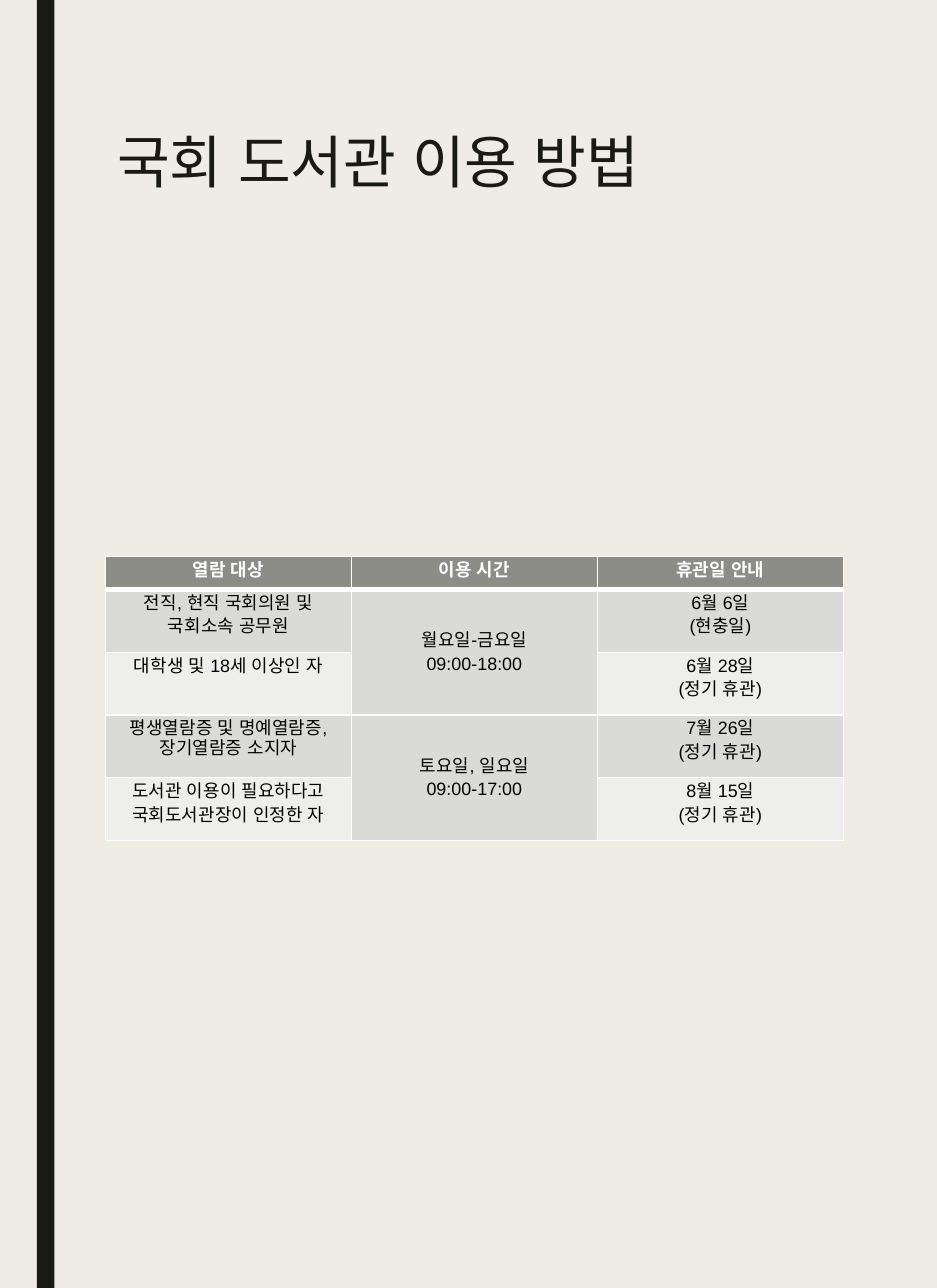
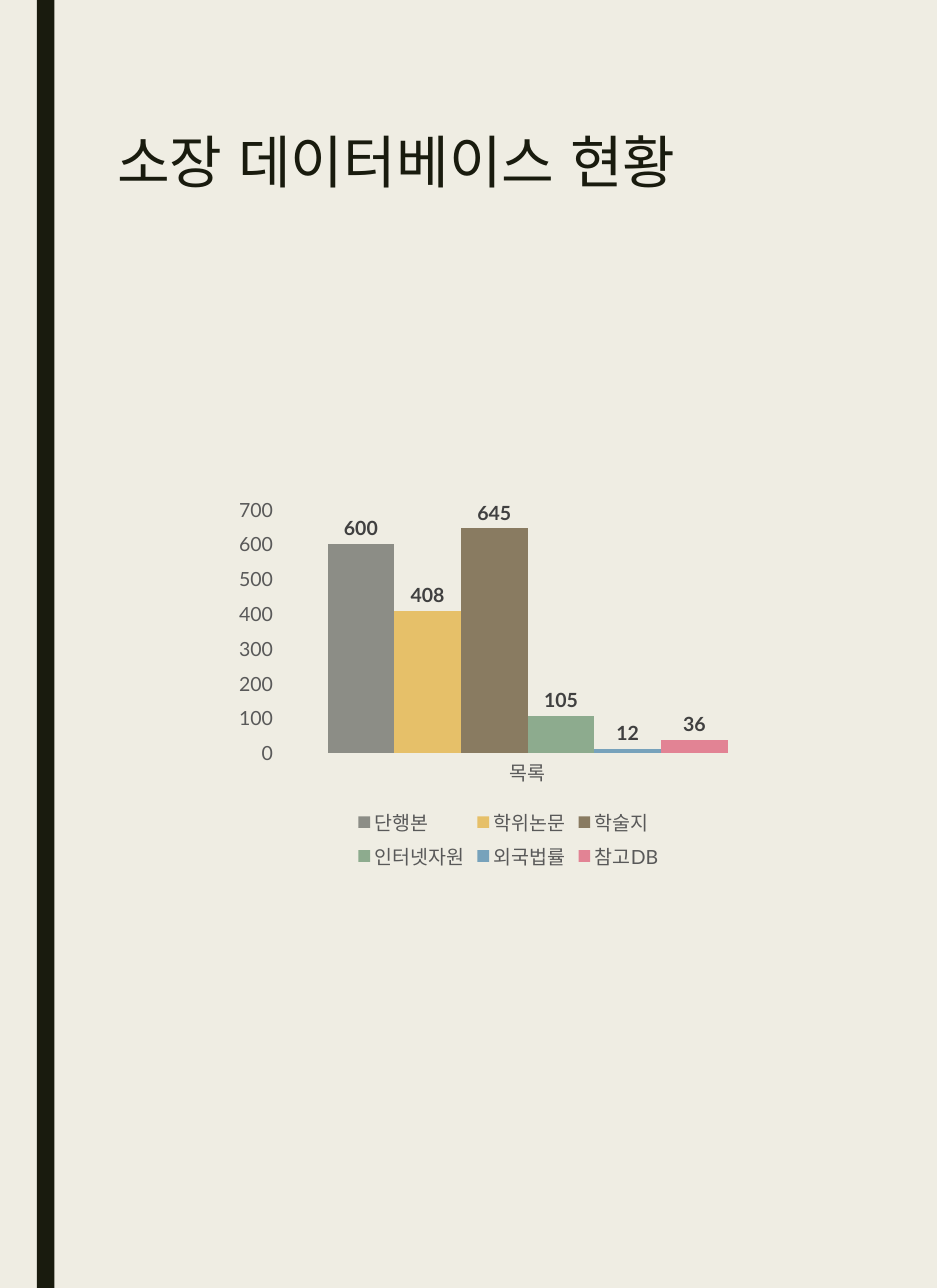
from lxml.etree import SubElement
from pptx import Presentation
from pptx.chart.data import CategoryChartData
from pptx.dml.color import RGBColor
from pptx.enum.chart import XL_CHART_TYPE, XL_LABEL_POSITION, XL_LEGEND_POSITION, XL_TICK_MARK
from pptx.enum.shapes import MSO_SHAPE
from pptx.enum.text import MSO_ANCHOR, PP_ALIGN
from pptx.oxml.ns import qn
from pptx.util import Cm, Pt

CREAM = RGBColor(0xEF, 0xED, 0xE3)
INK = RGBColor(0x19, 0x1B, 0x0E)
WHITE = RGBColor(0xFF, 0xFF, 0xFF)
BLACK = RGBColor(0x00, 0x00, 0x00)
GRAY = RGBColor(0x8C, 0x8D, 0x86)
DARK_ROW = RGBColor(0xDA, 0xDB, 0xD9)
LIGHT_ROW = RGBColor(0xEE, 0xEE, 0xED)
AXIS_TEXT = RGBColor(0x59, 0x59, 0x59)
LABEL_TEXT = RGBColor(0x40, 0x40, 0x40)
GOLD = RGBColor(0xE6, 0xC0, 0x69)
BROWN = RGBColor(0x89, 0x7B, 0x61)
GREEN = RGBColor(0x8D, 0xAB, 0x8E)
BLUE = RGBColor(0x77, 0xA2, 0xBB)
PINK = RGBColor(0xE2, 0x83, 0x94)

HEADERS = ["열람 대상", "이용 시간", "휴관일 안내"]
ROWS = [
    (["전직, 현직 국회의원 및", "국회소속 공무원"], ["월요일-금요일", "09:00-18:00"], ["6월 6일", "(현충일)"]),
    (["대학생 및 18세 이상인 자"], None, ["6월 28일", "(정기 휴관)"]),
    (["평생열람증 및 명예열람증,\v장기열람증 소지자"], ["토요일, 일요일", "09:00-17:00"], ["7월 26일", "(정기 휴관)"]),
    (["도서관 이용이 필요하다고", "국회도서관장이 인정한 자"], None, ["8월 15일", "(정기 휴관)"]),
]
HOLDINGS = [
    ("단행본", 600, GRAY),
    ("학위논문", 408, GOLD),
    ("학술지", 645, BROWN),
    ("인터넷자원", 105, GREEN),
    ("외국법률", 12, BLUE),
    ("참고DB", 36, PINK),
]


class LibraryDeck:
    """Holds the shared style and the slide being built."""

    title_font = "Lato"
    table_font = "Arial"
    korean_font = "Arial"

    def __init__(self):
        self.presentation = Presentation()
        self.presentation.slide_width = Cm(20.32)
        self.presentation.slide_height = Cm(27.94)
        self.slide = None

    def style_font(self, font, name, size, color, bold=False):
        font.name = name
        font.size = Pt(size)
        font.bold = bold
        font.color.rgb = color

    def add_run(self, paragraph, text, name, size, color, bold=False):
        run = paragraph.add_run()
        run.text = text
        self.style_font(run.font, name, size, color, bold)
        SubElement(run._r.get_or_add_rPr(), qn("a:ea"), typeface=self.korean_font)

    def add_slide(self, title):
        self.slide = self.presentation.slides.add_slide(self.presentation.slide_layouts[6])
        background = self.slide.background.fill
        background.solid()
        background.fore_color.rgb = CREAM
        self.add_band()
        self.add_title(title)

    def add_band(self):
        band = self.slide.shapes.add_shape(
            MSO_SHAPE.RECTANGLE, Cm(0.8), Cm(0), Cm(0.38), self.presentation.slide_height)
        band.shadow.inherit = False
        band.fill.solid()
        band.fill.fore_color.rgb = INK
        band.line.fill.background()

    def add_title(self, text):
        frame = self.slide.shapes.add_textbox(Cm(2.29), Cm(2.79), Cm(16), Cm(6.05)).text_frame
        frame.word_wrap = True
        paragraph = frame.paragraphs[0]
        paragraph.line_spacing = 0.89
        self.add_run(paragraph, text, self.title_font, 35.2, INK)

    def add_borders(self, cell, top, bottom):
        properties = cell._tc.get_or_add_tcPr()
        for side, width in (("L", 1), ("R", 1), ("T", top), ("B", bottom)):
            line = SubElement(properties, qn(f"a:ln{side}"), w=str(Pt(width)))
            fill = SubElement(line, qn("a:solidFill"))
            SubElement(fill, qn("a:srgbClr"), val=str(WHITE))

    def fill_cell(self, cell, lines, fill, color, bold=False):
        cell.margin_left = cell.margin_right = Cm(0.16)
        cell.margin_top = cell.margin_bottom = Cm(0.08)
        cell.fill.solid()
        cell.fill.fore_color.rgb = fill
        if cell.is_merge_origin:
            cell.vertical_anchor = MSO_ANCHOR.MIDDLE
        frame = cell.text_frame
        for index, text in enumerate(lines):
            paragraph = frame.add_paragraph() if index else frame.paragraphs[0]
            paragraph.alignment = PP_ALIGN.CENTER
            if index:
                paragraph.space_before = Pt(2.2)
            for part_index, part in enumerate(text.split("\v")):
                if part_index:
                    paragraph.add_line_break()
                self.add_run(paragraph, part, self.table_font, 11, color, bold)

    def add_table(self, headers, rows):
        table = self.slide.shapes.add_table(
            len(rows) + 1, len(headers), Cm(2.29), Cm(12.07), Cm(16), Cm(6.16)).table
        table.first_row = table.horz_banding = False
        for row_index, row in enumerate(table.rows):
            row.height = Cm(1.36 if row_index else 0.72)
            for cell in row.cells:
                self.add_borders(cell, 3 if row_index == 1 else 1, 1 if row_index else 3)
        for column, header in enumerate(headers):
            self.fill_cell(table.cell(0, column), [header], GRAY, WHITE, True)
        for row_index, row in enumerate(rows, 1):
            fill = DARK_ROW if row_index % 2 else LIGHT_ROW
            for column, lines in enumerate(row):
                cell = table.cell(row_index, column)
                if lines is None:
                    continue
                if row_index < len(rows) and rows[row_index][column] is None:
                    cell.merge(table.cell(row_index + 1, column))
                self.fill_cell(cell, lines, fill, BLACK)

    def add_column_chart(self, category, series):
        data = CategoryChartData()
        data.categories = [category]
        for name, value, _ in series:
            data.add_series(name, [value])
        chart = self.slide.shapes.add_chart(
            XL_CHART_TYPE.COLUMN_CLUSTERED, Cm(4.94), Cm(10.63), Cm(12.17), Cm(8.36), data).chart
        chart.has_title = False
        self.style_font(chart.font, self.title_font, 10, BLACK)
        plot = chart.plots[0]
        plot.gap_width = 150
        plot.overlap = 0
        plot.vary_by_categories = False
        for column, (_, _, color) in zip(plot.series, series):
            column.format.fill.solid()
            column.format.fill.fore_color.rgb = color
        plot.has_data_labels = True
        labels = plot.data_labels
        labels.show_value = True
        labels.position = XL_LABEL_POSITION.OUTSIDE_END
        self.style_font(labels.font, self.title_font, 12, LABEL_TEXT, True)
        for axis in (chart.category_axis, chart.value_axis):
            axis.has_major_gridlines = False
            axis.major_tick_mark = axis.minor_tick_mark = XL_TICK_MARK.NONE
            axis.format.line.fill.background()
            self.style_font(axis.tick_labels.font, self.title_font, 12, AXIS_TEXT)
        chart.value_axis.minimum_scale = 0
        chart.value_axis.maximum_scale = 700
        chart.value_axis.major_unit = 100
        chart.has_legend = True
        chart.legend.position = XL_LEGEND_POSITION.BOTTOM
        chart.legend.include_in_layout = False
        self.style_font(chart.legend.font, self.title_font, 12, AXIS_TEXT)


def main():
    deck = LibraryDeck()
    deck.add_slide("국회 도서관 이용 방법")
    deck.add_table(HEADERS, ROWS)
    deck.add_slide("소장 데이터베이스 현황")
    deck.add_column_chart("목록", HOLDINGS)
    deck.presentation.save("out.pptx")


if __name__ == "__main__":
    main()
